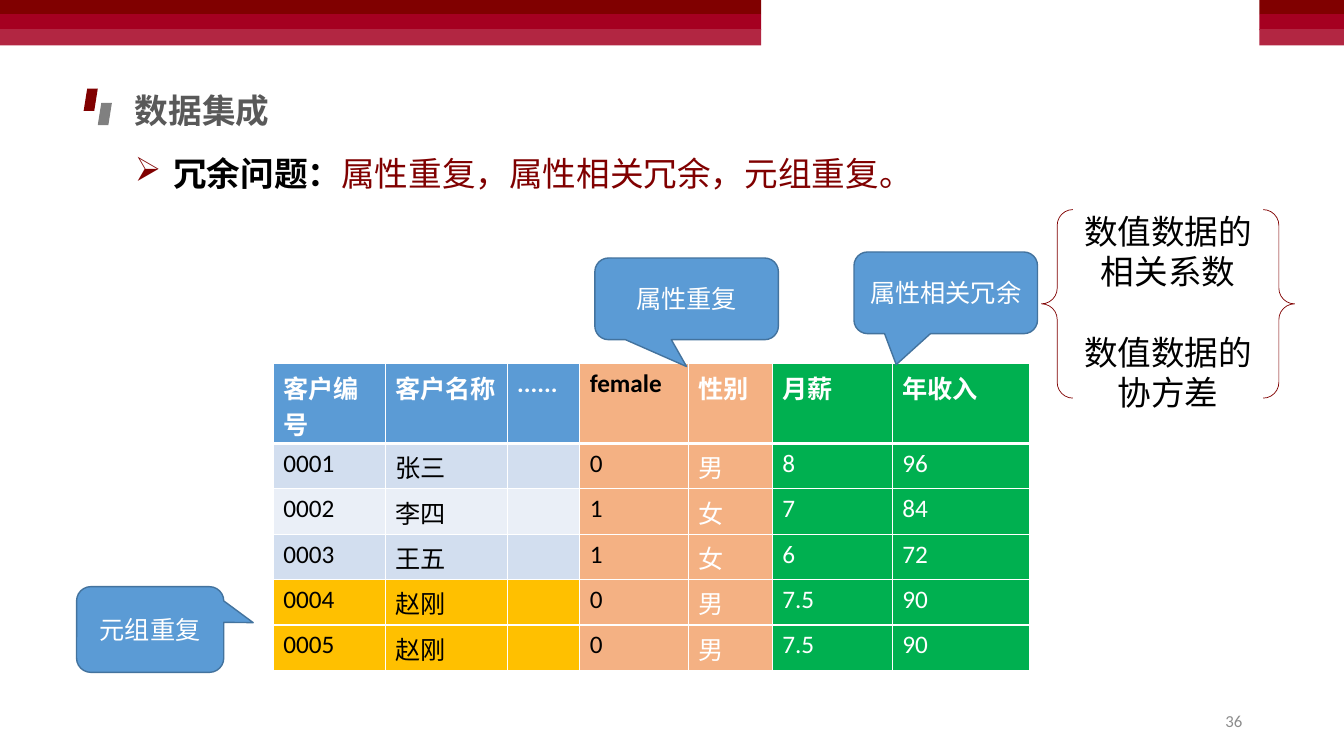
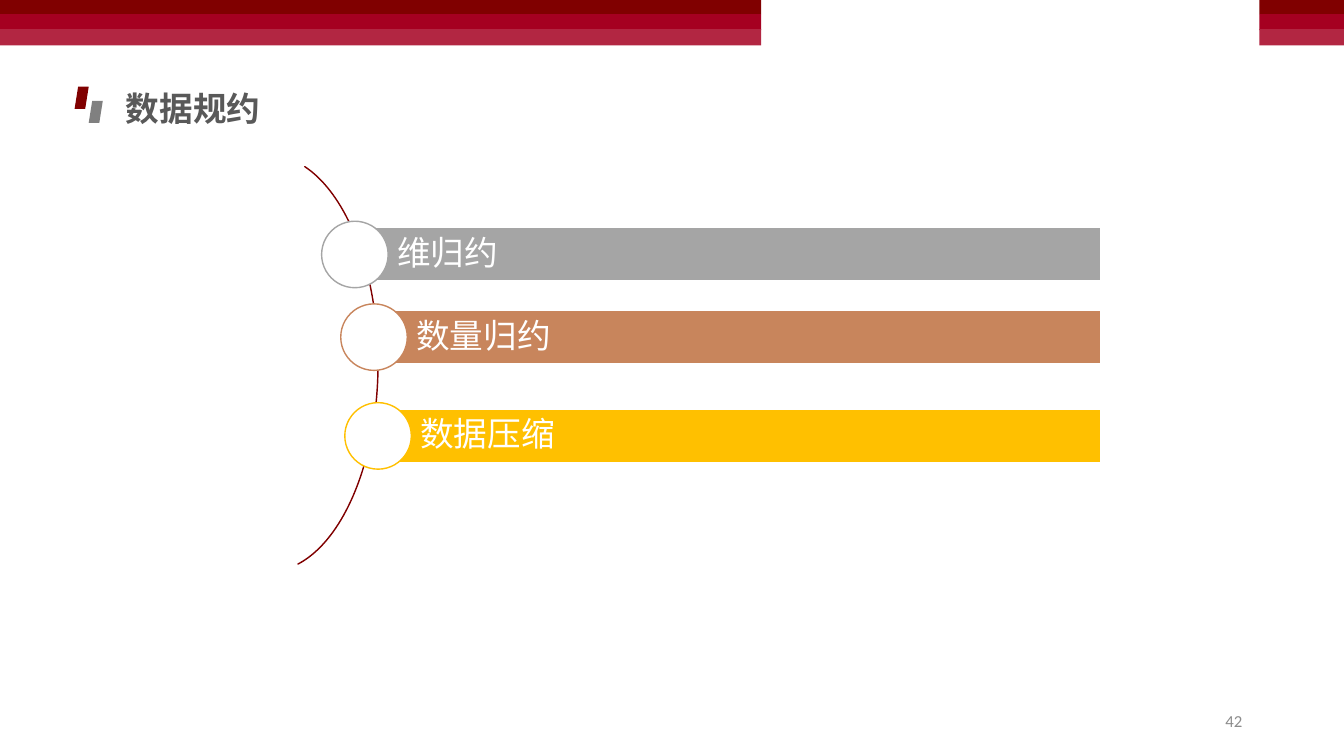
from typing import NamedTuple

from lxml.etree import SubElement
from pptx import Presentation
from pptx.dml.color import RGBColor
from pptx.enum.shapes import MSO_SHAPE
from pptx.enum.text import MSO_ANCHOR, PP_ALIGN
from pptx.oxml.ns import qn
from pptx.presentation import Presentation as Deck
from pptx.shapes.autoshape import Shape
from pptx.slide import Slide
from pptx.table import _Cell
from pptx.text.text import _Paragraph
from pptx.util import Inches, Pt

LATIN_FONT = "Calibri"
CHINESE_FONT = "Noto Sans CJK SC"
COLORS = {
    "maroon": "800000",
    "crimson": "A50021",
    "rose": "B22642",
    "gray": "808080",
    "title": "595959",
    "number": "8C8C8C",
    "black": "000000",
    "white": "FFFFFF",
    "blue": "5B9BD5",
    "blue_edge": "43739E",
    "blue_band": "D2DEEF",
    "blue_pale": "EAEFF7",
    "peach": "F4B183",
    "green": "00B050",
    "gold": "FFC000",
    "silver": "A5A5A5",
    "copper": "C8855C",
}


class Box(NamedTuple):
    left: float
    top: float
    width: float
    height: float


class Band(NamedTuple):
    top: float
    height: float
    color: str


class Callout(NamedTuple):
    text: str
    box: Box
    tip_x: float
    tip_y: float


class Method(NamedTuple):
    text: str
    left: float
    top: float
    color: str


BANDS = [Band(0, 0.14, "maroon"), Band(0.14, 0.16, "crimson"), Band(0.29, 0.16, "rose")]
BAND_SPANS = [(0, 7.55), (12.49, 0.87)]

CALLOUTS = [
    Callout("属性重复", Box(5.9, 2.56, 1.82, 0.81), 0, 0.83),
    Callout("属性相关冗余", Box(8.47, 2.5, 1.82, 0.81), -0.27, 0.88),
    Callout("元组重复", Box(0.76, 5.82, 1.46, 0.85), 0.7, -0.08),
]
METHODS = [
    Method("维归约", 3.52, 2.26, "silver"),
    Method("数量归约", 3.71, 3.08, "copper"),
    Method("数据压缩", 3.75, 4.06, "gold"),
]
METHOD_RIGHT = 10.92
METHOD_HEIGHT = 0.53
CIRCLE_SIZE = 0.66

COLUMN_WIDTHS = [1.11, 1.21, 0.72, 1.08, 0.83, 1.19, 1.36]
HEADER_HEIGHT = 0.79
ROW_HEIGHT = 0.45
CUSTOMERS = [
    ["客户编号", "客户名称", "......", "female", "性别", "月薪", "年收入"],
    ["0001", "张三", "", "0", "男", "8", "96"],
    ["0002", "李四", "", "1", "女", "7", "84"],
    ["0003", "王五", "", "1", "女", "6", "72"],
    ["0004", "赵刚", "", "0", "男", "7.5", "90"],
    ["0005", "赵刚", "", "0", "男", "7.5", "90"],
]
ROW_COLORS = ["blue", "blue_band", "blue_pale", "blue_band", "gold", "gold"]


def rgb(color: str) -> RGBColor:
    return RGBColor.from_string(COLORS[color])


def format_runs(
    paragraph: _Paragraph, size: float, color: str, bold: bool = False, latin: str = LATIN_FONT
) -> None:
    for run in paragraph.runs:
        font = run.font
        font.size = Pt(size)
        font.bold = bold
        font.color.rgb = rgb(color)
        font.name = latin
        east_asian = SubElement(font._element, qn("a:ea"))
        east_asian.set("typeface", CHINESE_FONT)


def add_shape(
    slide: Slide,
    kind: MSO_SHAPE,
    box: Box,
    fill: str | None,
    line: str | None = None,
    line_width: float = 1,
) -> Shape:
    shape = slide.shapes.add_shape(kind, *map(Inches, box))
    shape.shadow.inherit = False
    if fill:
        shape.fill.solid()
        shape.fill.fore_color.rgb = rgb(fill)
    else:
        shape.fill.background()
    if line:
        shape.line.color.rgb = rgb(line)
        shape.line.width = Pt(line_width)
    else:
        shape.line.fill.background()
    return shape


def add_text_box(slide: Slide, box: Box, text: str) -> Shape:
    text_box = slide.shapes.add_textbox(*map(Inches, box))
    text_box.text_frame.word_wrap = True
    text_box.text_frame.text = text
    return text_box


def add_base_slide(
    presentation: Deck, title: str, number: int, mark_left: float, mark_top: float
) -> Slide:
    """Add a slide with the bands, title mark, title and page number."""
    slide = presentation.slides.add_slide(presentation.slide_layouts[6])
    for left, width in BAND_SPANS:
        for band in BANDS:
            box = Box(left, band.top, width, band.height)
            add_shape(slide, MSO_SHAPE.RECTANGLE, box, band.color)

    for index, color in enumerate(["maroon", "gray"]):
        offset = index * 0.14
        box = Box(mark_left + offset, mark_top + offset, 0.14, 0.22)
        add_shape(slide, MSO_SHAPE.PARALLELOGRAM, box, color)

    title_box = add_text_box(slide, Box(mark_left + 0.41, mark_top - 0.04, 4.12, 0.5), title)
    format_runs(title_box.text_frame.paragraphs[0], 24, "title", True, CHINESE_FONT)

    number_box = add_text_box(slide, Box(9.42, 6.95, 3, 0.4), str(number))
    number_box.text_frame.vertical_anchor = MSO_ANCHOR.MIDDLE
    paragraph = number_box.text_frame.paragraphs[0]
    paragraph.alignment = PP_ALIGN.RIGHT
    format_runs(paragraph, 12, "number")
    return slide


def add_bullet(paragraph: _Paragraph) -> None:
    properties = paragraph._p.get_or_add_pPr()
    properties.set("marL", str(Inches(0.38)))
    properties.set("indent", str(Inches(-0.38)))
    bullet_color = SubElement(properties, qn("a:buClr"))
    SubElement(bullet_color, qn("a:srgbClr")).set("val", COLORS["maroon"])
    SubElement(properties, qn("a:buChar")).set("char", "➢")


def add_redundancy_summary(slide: Slide) -> None:
    summary = add_text_box(slide, Box(1.24, 1.47, 9.28, 0.5), "冗余问题：")
    paragraph = summary.text_frame.paragraphs[0]
    add_bullet(paragraph)
    format_runs(paragraph, 24, "black", True)
    detail = paragraph.add_run()
    detail.text = "属性重复，属性相关冗余，元组重复。"
    detail.font.size = Pt(24)
    detail.font.name = LATIN_FONT
    detail.font.color.rgb = rgb("maroon")
    SubElement(detail.font._element, qn("a:ea")).set("typeface", CHINESE_FONT)


def add_measures(slide: Slide) -> None:
    box = Box(10.33, 2.08, 2.51, 1.87)
    braces = add_shape(slide, MSO_SHAPE.DOUBLE_BRACE, box, None, "maroon", 0.5)
    frame = braces.text_frame
    frame.vertical_anchor = MSO_ANCHOR.MIDDLE
    frame.text = "数值数据的相关系数\n数值数据的协方差"
    for paragraph in frame.paragraphs:
        paragraph.alignment = PP_ALIGN.CENTER
        format_runs(paragraph, 24, "black")
    frame.paragraphs[1].space_before = Pt(29)


def add_callout(slide: Slide, callout: Callout) -> None:
    kind = MSO_SHAPE.ROUNDED_RECTANGULAR_CALLOUT
    shape = add_shape(slide, kind, callout.box, "blue", "blue_edge")
    shape.adjustments[0] = callout.tip_x
    shape.adjustments[1] = callout.tip_y
    frame = shape.text_frame
    frame.vertical_anchor = MSO_ANCHOR.MIDDLE
    frame.text = callout.text
    frame.paragraphs[0].alignment = PP_ALIGN.CENTER
    format_runs(frame.paragraphs[0], 18, "white")


def set_borders(cell: _Cell, row: int) -> None:
    """Draw white cell borders, thick between header and body."""
    properties = cell._tc.get_or_add_tcPr()
    widths = {"L": 1, "R": 1, "T": 3 if row == 1 else 1, "B": 3 if row == 0 else 1}
    for side, width in widths.items():
        border = SubElement(properties, qn(f"a:ln{side}"))
        border.set("w", str(Pt(width)))
        fill = SubElement(border, qn("a:solidFill"))
        SubElement(fill, qn("a:srgbClr")).set("val", COLORS["white"])


def cell_colors(row: int, column: int) -> tuple[str, str]:
    """Return the fill and text colours of a table cell."""
    if column >= 5:
        return "green", "white"
    if column >= 3:
        return "peach", "black" if column == 3 else "white"
    return ROW_COLORS[row], "white" if row == 0 else "black"


def add_customer_table(slide: Slide) -> None:
    height = HEADER_HEIGHT + ROW_HEIGHT * (len(CUSTOMERS) - 1)
    box = Box(2.71, 3.61, sum(COLUMN_WIDTHS), height)
    frame = slide.shapes.add_table(len(CUSTOMERS), len(COLUMN_WIDTHS), *map(Inches, box))
    table = frame.table
    for column, width in zip(table.columns, COLUMN_WIDTHS):
        column.width = Inches(width)
    for row_index, values in enumerate(CUSTOMERS):
        table.rows[row_index].height = Inches(ROW_HEIGHT if row_index else HEADER_HEIGHT)
        for column_index, value in enumerate(values):
            fill, text_color = cell_colors(row_index, column_index)
            cell = table.cell(row_index, column_index)
            set_borders(cell, row_index)
            cell.fill.solid()
            cell.fill.fore_color.rgb = rgb(fill)
            cell.text_frame.text = value
            format_runs(cell.text_frame.paragraphs[0], 18, text_color, row_index == 0)


def add_method(slide: Slide, method: Method) -> None:
    """Add a labelled bar with a circle over its left end."""
    box = Box(method.left, method.top, METHOD_RIGHT - method.left, METHOD_HEIGHT)
    bar = add_shape(slide, MSO_SHAPE.RECTANGLE, box, method.color, "white")
    frame = bar.text_frame
    frame.margin_left = Inches(0.42)
    frame.margin_top = frame.margin_right = frame.margin_bottom = Inches(0.07)
    frame.vertical_anchor = MSO_ANCHOR.MIDDLE
    frame.text = method.text
    paragraph = frame.paragraphs[0]
    paragraph.alignment = PP_ALIGN.LEFT
    paragraph.line_spacing = 0.9
    format_runs(paragraph, 24, "white")

    circle_left = method.left - CIRCLE_SIZE / 2
    circle_top = method.top + (METHOD_HEIGHT - CIRCLE_SIZE) / 2
    circle = Box(circle_left, circle_top, CIRCLE_SIZE, CIRCLE_SIZE)
    add_shape(slide, MSO_SHAPE.OVAL, circle, "white", method.color)


def build_integration_slide(presentation: Deck) -> None:
    slide = add_base_slide(presentation, "数据集成", 36, 0.83, 0.88)
    add_redundancy_summary(slide)
    add_measures(slide)
    add_customer_table(slide)
    for callout in CALLOUTS:
        add_callout(slide, callout)


def build_reduction_slide(presentation: Deck) -> None:
    slide = add_base_slide(presentation, "数据规约", 42, 0.74, 0.86)
    arc_box = Box(1.59, 1.54, 2.16, 4.13)
    arc = add_shape(slide, MSO_SHAPE.BLOCK_ARC, arc_box, "maroon", "maroon")
    for index, value in enumerate([168.16, 49.09, 0]):
        arc.adjustments[index] = value
    for method in METHODS:
        add_method(slide, method)


def main() -> None:
    presentation = Presentation()
    presentation.slide_width = Inches(13.33)
    presentation.slide_height = Inches(7.5)
    build_integration_slide(presentation)
    build_reduction_slide(presentation)
    presentation.save("out.pptx")


if __name__ == "__main__":
    main()
